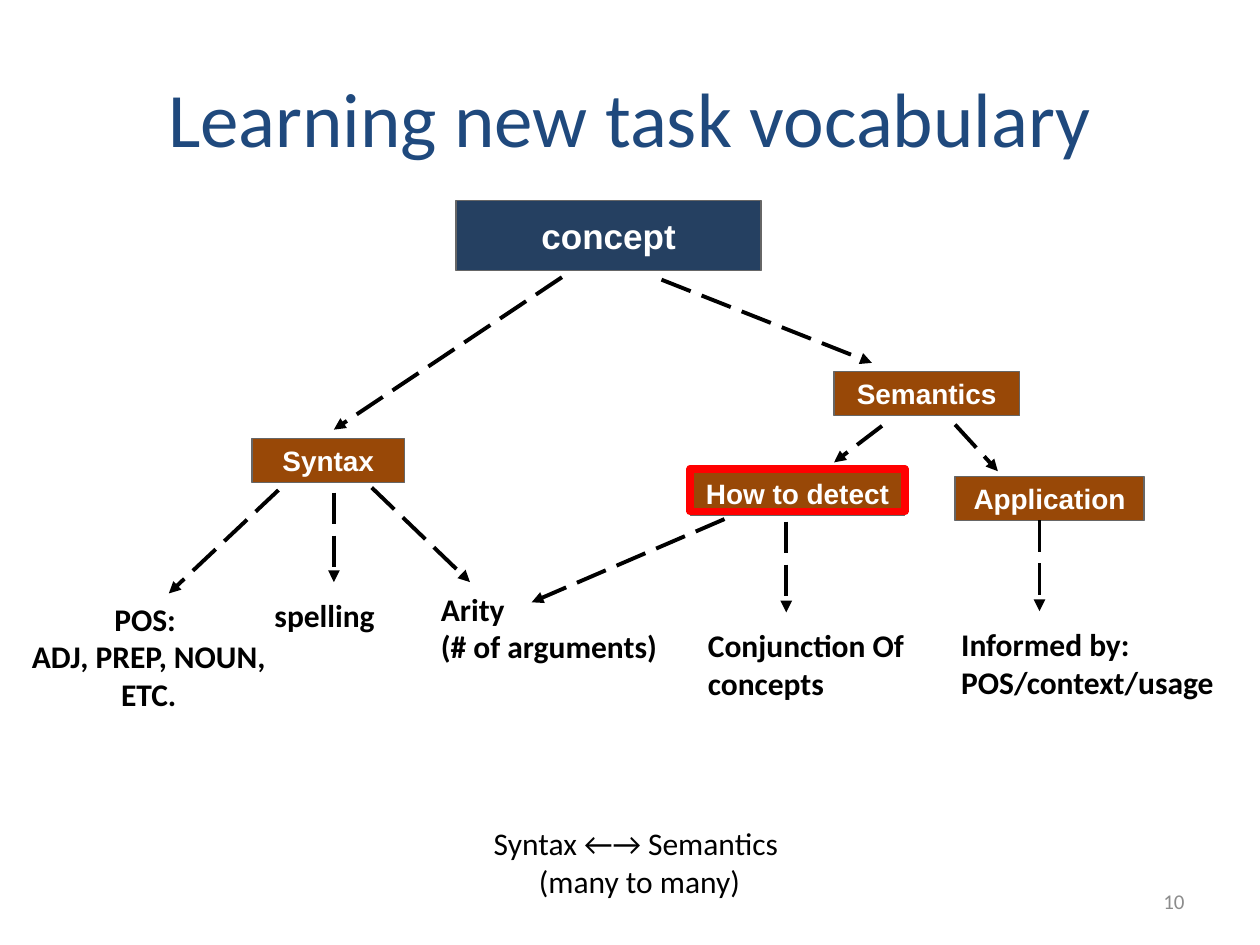
from lxml import etree
from pptx import Presentation
from pptx.dml.color import RGBColor
from pptx.enum import dml, shapes, text
from pptx.oxml.ns import qn
from pptx.util import Inches, Pt

THEME = {
    "title": {"name": "Calibri", "size": 44, "color": "1F497D"},
    "root": {"name": "Arial", "size": 20, "bold": True, "color": "FFFFFF"},
    "node": {"name": "Arial", "size": 16, "bold": True, "color": "FFFFFF"},
    "leaf": {"name": "Calibri", "size": 18, "bold": True, "color": "000000"},
    "note": {"name": "Calibri", "size": 18, "color": "000000"},
    "number": {"name": "Calibri", "size": 12, "color": "8C8C8C"},
    "root_fill": "254061", "node_fill": "984807",
    "edge": "666666", "arrow": "000000", "highlight": "FF0000",
}
CENTER, LEFT, RIGHT = text.PP_ALIGN.CENTER, text.PP_ALIGN.LEFT, text.PP_ALIGN.RIGHT
MIDDLE, TOP = text.MSO_ANCHOR.MIDDLE, text.MSO_ANCHOR.TOP

prs = Presentation()
prs.slide_width, prs.slide_height = Inches(10), Inches(7.5)
s = prs.slides.add_slide(prs.slide_layouts[5])
COL, ROW = prs.slide_width / 100, prs.slide_height / 75


def grid(*cells):
    """Turn alternating columns and rows into lengths."""
    return [round(n * (ROW if i % 2 else COL)) for i, n in enumerate(cells)]


def write(sp, words, style, align, anchor):
    """Fill a shape with paragraphs in one of the theme's styles."""
    tf = sp.text_frame
    tf.word_wrap, tf.vertical_anchor = True, anchor
    tf.text = words
    for p in tf.paragraphs:
        p.alignment = align
        for r in p.runs:
            for key, value in THEME[style].items():
                if key == "color":
                    r.font.color.rgb = RGBColor.from_string(value)
                else:
                    setattr(r.font, key, Pt(value) if key == "size" else value)


# Title
sp = s.shapes.title
sp.left, sp.top, sp.width, sp.height = grid(5, 3, 90, 12.5)
write(sp, "Learning new task vocabulary", "title", CENTER, MIDDLE)

# Concept tree boxes, then the highlight frame around "How to detect"
boxes = [
    ("concept", "root", (36.2, 15.9, 24.2, 5.6)),
    ("Syntax", "node", (20, 34.8, 12.1, 3.5)),
    ("Semantics", "node", (66.2, 29.5, 14.7, 3.5)),
    ("How to detect", "node", (54.8, 37.4, 17, 3.5)),
    ("Application", "node", (75.8, 37.8, 15, 3.5)),
    (None, "highlight", (54.8, 37.2, 17, 3.4)),
]
for words, style, cells in boxes:
    sp = s.shapes.add_shape(shapes.MSO_SHAPE.RECTANGLE, *grid(*cells))
    sp.shadow.inherit = False
    if words is None:
        sp.fill.background()
        edge, width = THEME["highlight"], 4.5
    else:
        sp.fill.solid()
        sp.fill.fore_color.rgb = RGBColor.from_string(THEME[style + "_fill"])
        edge, width = THEME["edge"], 0.75
        for side in ("left", "top", "right", "bottom"):
            setattr(sp.text_frame, "margin_" + side, Inches(0.1))
        write(sp, words, style, CENTER, MIDDLE)
    sp.line.color.rgb = RGBColor.from_string(edge)
    sp.line.width = Pt(width)

# Dashed arrows, parent to child
arrows = [
    (44.6, 22, 26.5, 34.1), (52.5, 22.2, 69.2, 28.8),      # from concept
    (22.1, 38.9, 13.4, 47.1), (26.5, 39.1, 26.5, 46.2),    # from Syntax
    (29.5, 38.7, 37.3, 46.2),
    (70, 33.8, 66.2, 36.7), (75.8, 33.7, 79.2, 37.4),      # from Semantics
    (57.5, 41.2, 42.2, 47.8), (62.4, 41.4, 62.4, 48.6),    # from How to detect
    (82.5, 41.3, 82.5, 48.5),                              # from Application
]
for cells in arrows:
    c = s.shapes.add_connector(shapes.MSO_CONNECTOR.STRAIGHT, *grid(*cells))
    c.line.color.rgb = RGBColor.from_string(THEME["arrow"])
    c.line.width = Pt(2.25)
    c.line.dash_style = dml.MSO_LINE.LONG_DASH
    etree.SubElement(c.line._get_or_add_ln(), qn("a:tailEnd"), type="triangle")
    etree.SubElement(c._element.spPr, qn("a:effectLst"))

# Leaves, closing note and slide number
labels = [
    ("POS: \vADJ, PREP, NOUN, ETC.", "leaf", CENTER, TOP, (1.4, 47.1, 20.8, 10.1)),
    ("spelling", "leaf", LEFT, TOP, (20.8, 46.8, 11.1, 4)),
    ("Arity\n(# of arguments)", "leaf", LEFT, TOP, (34, 46.3, 19.8, 7.1)),
    ("Conjunction Of concepts", "leaf", LEFT, TOP, (55.2, 49.2, 21.7, 7.1)),
    ("Informed by: POS/context/usage", "leaf", LEFT, TOP, (75.3, 49.1, 23, 7.1)),
    ("Syntax ←→ Semantics \v(many to many)", "note", CENTER, TOP, (32.3, 64.9, 36.9, 7.1)),
    ("10", "number", RIGHT, MIDDLE, (71.7, 69.5, 23.3, 4)),
]
for words, style, align, anchor, cells in labels:
    write(s.shapes.add_textbox(*grid(*cells)), words, style, align, anchor)

prs.save("out.pptx")
